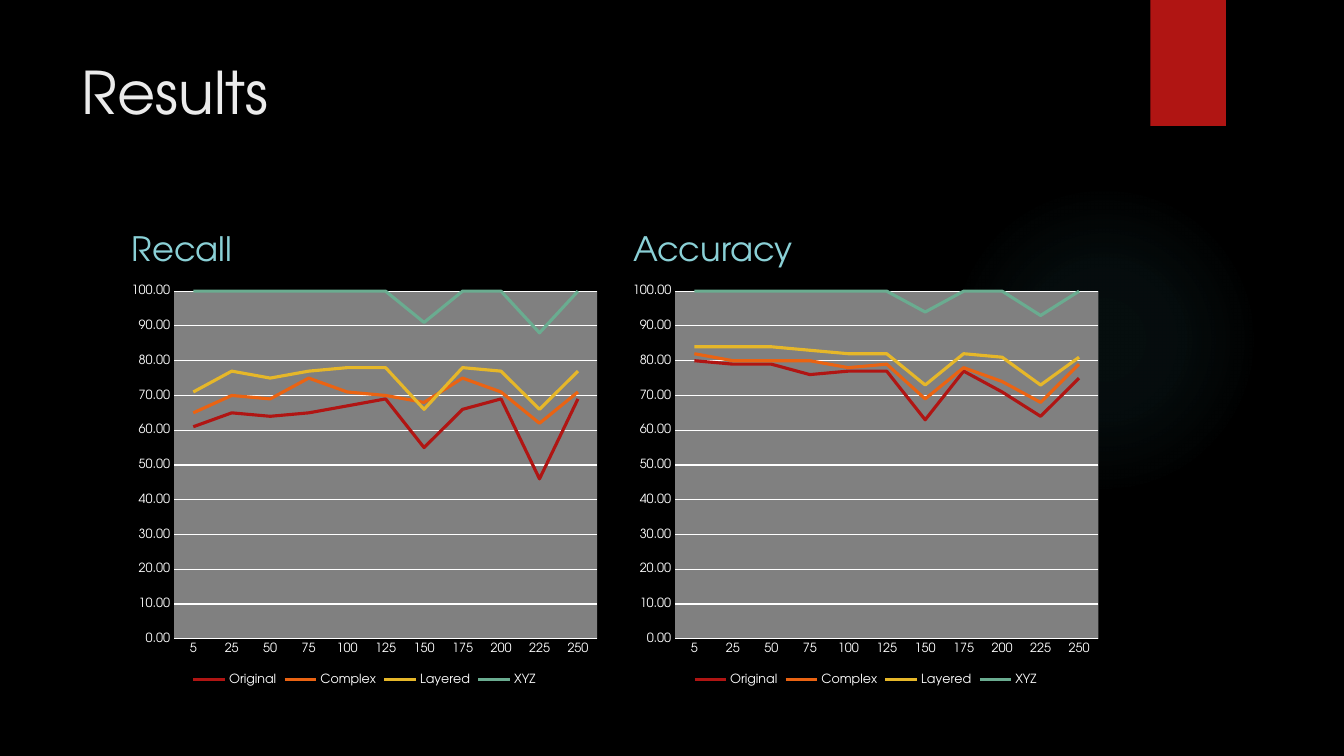
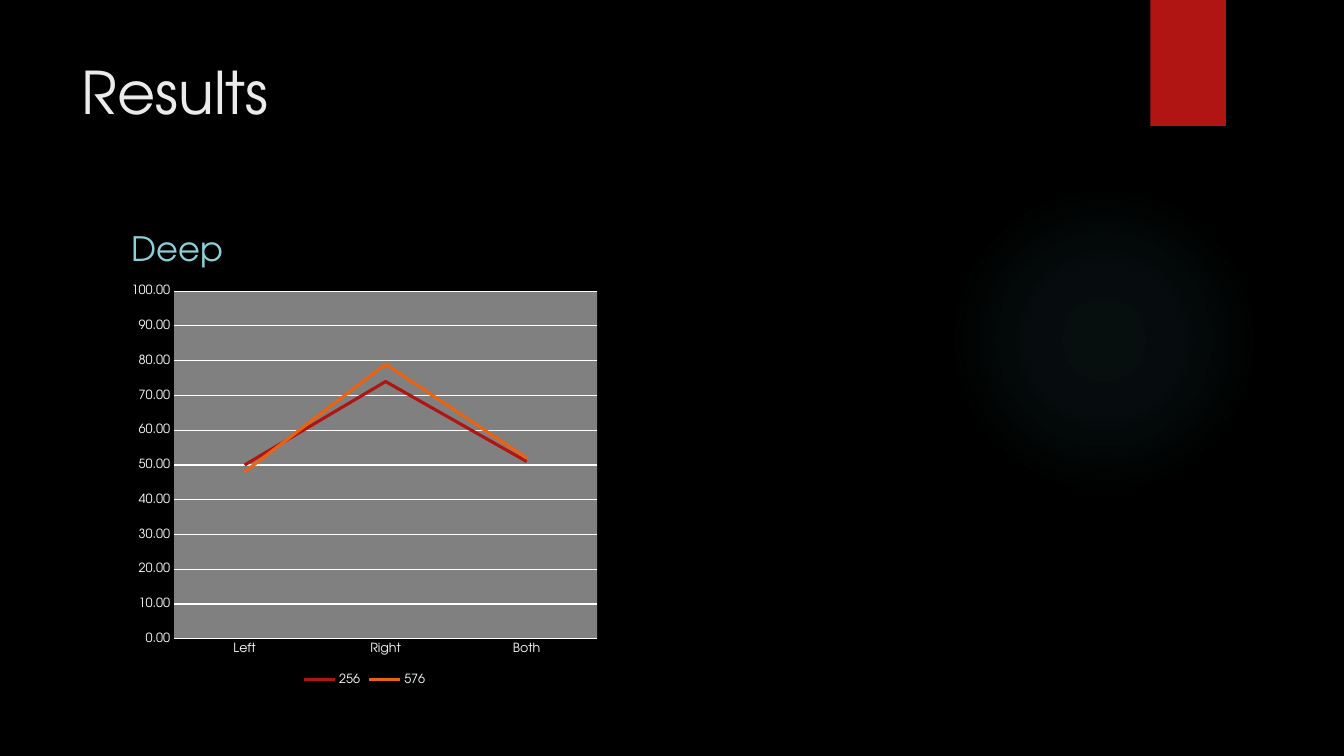
from dataclasses import dataclass

from pptx import Presentation
from pptx.chart.data import CategoryChartData
from pptx.dml.color import RGBColor
from pptx.enum.chart import XL_CHART_TYPE, XL_LEGEND_POSITION, XL_TICK_MARK
from pptx.enum.shapes import MSO_SHAPE
from pptx.enum.text import MSO_ANCHOR, MSO_AUTO_SIZE, PP_ALIGN
from pptx.oxml import parse_xml
from pptx.oxml.ns import nsdecls
from pptx.util import Inches, Pt


@dataclass(frozen=True)
class Theme:
    font: str = "TeX Gyre Adventor"
    back: str = "000000"
    title: str = "EBEBEB"
    heading: str = "8AD0D6"
    glow: str = "50B9C1"
    white: str = "FFFFFF"
    plot: str = "808080"
    series: tuple = ("B01513", "EA6312", "E6B729", "6AAC90")
    title_size: int = 42
    heading_size: int = 24
    chart_size: int = 10
    label_size: int = 9
    grid_width: float = 0.75
    series_width: float = 2.25


THEME = Theme()
TITLE_ONLY = 5
PANEL_LEFT, PANEL_TOP, PANEL_WIDTH, PANEL_STEP = 1.21, 2.08, 4.81, 4.97
HEADING_HEIGHT, CHART_OFFSET, CHART_HEIGHT = 0.63, 0.67, 4.09

STEPS = ["5", "25", "50", "75", "100", "125", "150", "175", "200", "225", "250"]
RECALL = {
    "Original": [61, 65, 64, 65, 67, 69, 55, 66, 69, 46, 69],
    "Complex": [65, 70, 69, 75, 71, 70, 68, 75, 71, 62, 71],
    "Layered": [71, 77, 75, 77, 78, 78, 66, 78, 77, 66, 77],
    "XYZ": [100, 100, 100, 100, 100, 100, 91, 100, 100, 88, 100],
}
ACCURACY = {
    "Original": [80, 79, 79, 76, 77, 77, 63, 77, 71, 64, 75],
    "Complex": [82, 80, 80, 80, 78, 79, 69, 78, 74, 68, 79],
    "Layered": [84, 84, 84, 83, 82, 82, 73, 82, 81, 73, 81],
    "XYZ": [100, 100, 100, 100, 100, 100, 94, 100, 100, 93, 100],
}
DEEP = {"256": [50, 74, 51], "576": [48, 79, 52]}

SLIDES = [
    ("Results", [("Recall", STEPS, RECALL), ("Accuracy", STEPS, ACCURACY)]),
    ("Results", [("Deep", ["Left", "Right", "Both"], DEEP)]),
]


def rgb(color):
    return RGBColor.from_string(color)


def set_font(font, size, color):
    font.name = THEME.font
    font.size = Pt(size)
    font.color.rgb = rgb(color)


def set_line(line, color, width):
    line.color.rgb = rgb(color)
    line.width = Pt(width)


def write(tf, text, size, color, anchor):
    tf.word_wrap = True
    tf.auto_size = MSO_AUTO_SIZE.NONE
    tf.vertical_anchor = anchor
    p = tf.paragraphs[0]
    p.alignment = PP_ALIGN.LEFT
    r = p.add_run()
    r.text = text
    set_font(r.font, size, color)


def fill_with_glow(sp):
    """Fill a shape with a round gradient that fades out from its centre."""
    stops = "".join(
        f'<a:gs pos="{pos * 1000}"><a:srgbClr val="{THEME.glow}">'
        f'<a:alpha val="{alpha * 1000}"/></a:srgbClr></a:gs>'
        for pos, alpha in ((0, 7), (36, 6), (69, 0))
    )
    sp.fill.background()
    no_fill = sp._element.spPr.find("{*}noFill")
    no_fill.getparent().replace(no_fill, parse_xml(
        f'<a:gradFill {nsdecls("a")} rotWithShape="1"><a:gsLst>{stops}</a:gsLst>'
        '<a:path path="circle"><a:fillToRect l="50000" t="50000" r="50000" b="50000"/>'
        '</a:path></a:gradFill>'))


def decorate_layout(layout, slide):
    """Give the layout its background, glow and band, drawn by way of a slide."""
    layout.background.fill.solid()
    layout.background.fill.fore_color.rgb = rgb(THEME.back)
    glow = slide.shapes.add_shape(
        MSO_SHAPE.OVAL, Inches(9.41), Inches(1.83), Inches(3.08), Inches(3.08))
    fill_with_glow(glow)
    band = slide.shapes.add_shape(
        MSO_SHAPE.RECTANGLE, Inches(11.41), 0, Inches(0.75), Inches(1.25))
    band.fill.solid()
    band.fill.fore_color.rgb = rgb(THEME.series[0])
    for sp in (glow, band):
        sp.line.fill.background()
        sp.shadow.inherit = False
        layout.shapes._spTree.append(sp._element)


def add_title(slide, text):
    sp = slide.shapes.title
    sp.left, sp.top = Inches(0.71), Inches(0.5)
    sp.width, sp.height = Inches(10.29), Inches(1.53)
    write(sp.text_frame, text, THEME.title_size, THEME.title, MSO_ANCHOR.TOP)


def style_axes(chart):
    for axis in (chart.category_axis, chart.value_axis):
        axis.major_tick_mark = axis.minor_tick_mark = XL_TICK_MARK.NONE
        set_font(axis.tick_labels.font, THEME.label_size, THEME.white)
    set_line(chart.category_axis.format.line, THEME.white, THEME.grid_width)
    values = chart.value_axis
    values.minimum_scale, values.maximum_scale, values.major_unit = 0, 100, 10
    values.tick_labels.number_format = "0.00"
    values.tick_labels.number_format_is_linked = False
    values.format.line.fill.background()
    set_line(values.major_gridlines.format.line, THEME.white, THEME.grid_width)


def add_line_chart(slide, left, top, width, height, cats, series):
    data = CategoryChartData(number_format="0.00")
    data.categories = cats
    for name, vals in series.items():
        data.add_series(name, vals)
    chart = slide.shapes.add_chart(
        XL_CHART_TYPE.LINE, Inches(left), Inches(top), Inches(width), Inches(height), data
    ).chart
    set_font(chart.font, THEME.chart_size, THEME.white)
    chart.has_title = False
    chart.has_legend = True
    chart.legend.position = XL_LEGEND_POSITION.BOTTOM
    chart.legend.include_in_layout = False
    set_font(chart.legend.font, THEME.label_size, THEME.white)
    style_axes(chart)
    plot = chart.plots[0]
    plot.vary_by_categories = False
    for line, color in zip(plot.series, THEME.series):
        line.smooth = False
        set_line(line.format.line, color, THEME.series_width)
    chart._chartSpace.chart.plotArea.append(parse_xml(
        f'<c:spPr {nsdecls("c", "a")}><a:solidFill><a:srgbClr val="{THEME.plot}"/>'
        '</a:solidFill><a:ln><a:noFill/></a:ln></c:spPr>'))


def add_panel(slide, left, top, width, heading, cats, series):
    """Place a heading with its line chart below."""
    box = slide.shapes.add_textbox(
        Inches(left), Inches(top), Inches(width), Inches(HEADING_HEIGHT))
    write(box.text_frame, heading, THEME.heading_size, THEME.heading, MSO_ANCHOR.BOTTOM)
    add_line_chart(slide, left, top + CHART_OFFSET, width, CHART_HEIGHT, cats, series)


def add_results_slide(slide, title, panels):
    add_title(slide, title)
    for i, panel in enumerate(panels):
        add_panel(slide, PANEL_LEFT + i * PANEL_STEP, PANEL_TOP, PANEL_WIDTH, *panel)


def main():
    prs = Presentation()
    prs.slide_width, prs.slide_height = Inches(13.33), Inches(7.5)
    layout = prs.slide_layouts[TITLE_ONLY]
    slides = [prs.slides.add_slide(layout) for _ in SLIDES]
    decorate_layout(layout, slides[0])
    for slide, (title, panels) in zip(slides, SLIDES):
        add_results_slide(slide, title, panels)
    prs.save("out.pptx")


if __name__ == "__main__":
    main()
